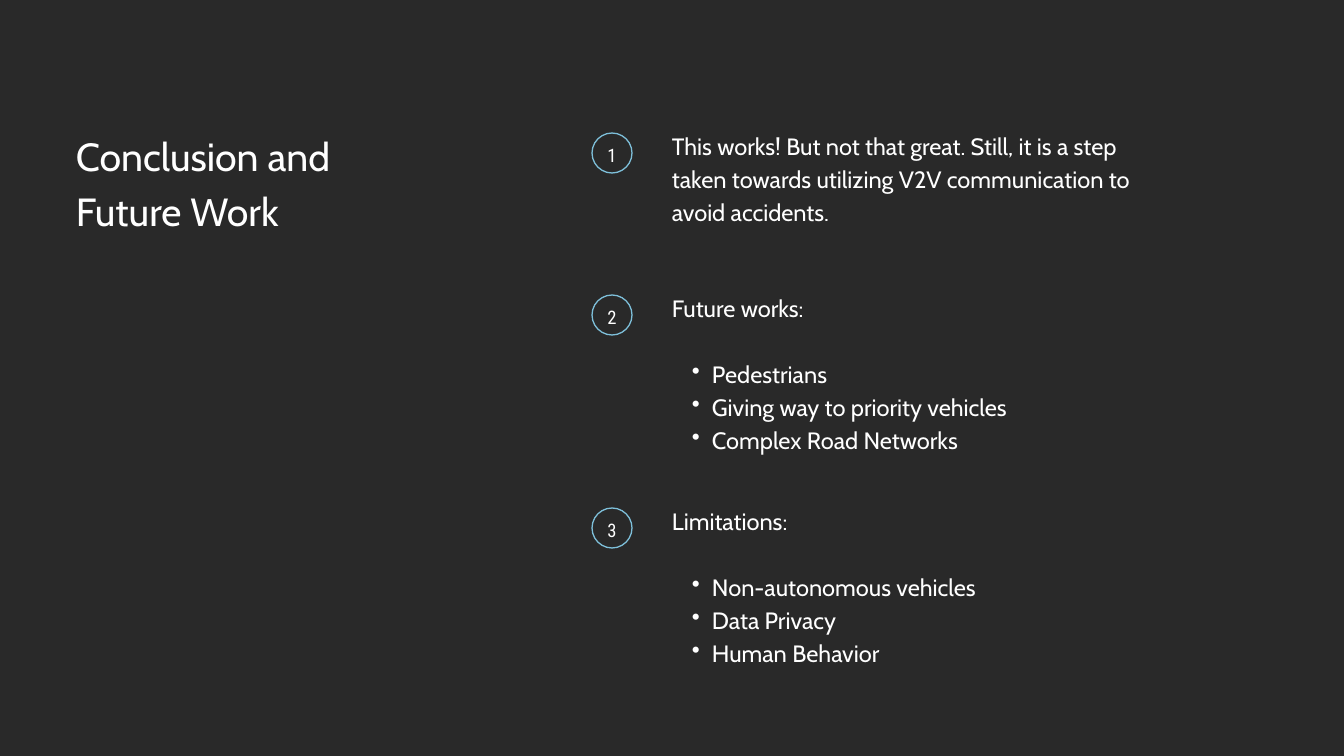
import dataclasses

import lxml.etree
import pptx
import pptx.dml.color
import pptx.enum.shapes
import pptx.enum.text
import pptx.oxml.ns
import pptx.util

EMU_PER_PX = 9676
BACKGROUND, WHITE, RING_BLUE = "292929", "FFFFFF", "7EC0DA"

# Layout of the numbered column, in px
RING_CENTER_X, RING_SIZE = 612, 40
RING_CENTER_DROP = 26  # from the top of an item to the ring's centre
NUMBER_WIDTH, NUMBER_HEIGHT = 30, 25
BODY_LEFT, BODY_WIDTH, BODY_LINE = 672, 472, 33
BULLET_INDENT, BULLET_HANG = 40, 20


@dataclasses.dataclass
class TextStyle:
    font: str
    size: float
    line_pt: float
    align: pptx.enum.text.PP_ALIGN = pptx.enum.text.PP_ALIGN.LEFT


@dataclasses.dataclass
class Item:
    top: int
    text: str
    lines: int
    bullets: tuple[str, ...] = ()


TITLE = TextStyle("Cabin", 29.9, 41.8)
BODY = TextStyle("Cabin", 18, 25.2)
NUMBER = TextStyle("Roboto Condensed", 14.2, 19.9, pptx.enum.text.PP_ALIGN.CENTER)

ITEMS = [
    Item(127, "This works! But not that great. Still, it is a step taken towards "
              "utilizing V2V communication to avoid accidents.", 3),
    Item(289, "Future works:", 5,
         ("Pedestrians", "Giving way to priority vehicles", "Complex Road Networks")),
    Item(502, "Limitations:", 5,
         ("Non-autonomous vehicles", "Data Privacy", "Human Behavior")),
]


def px(length: int) -> int:
    return pptx.util.Emu(length * EMU_PER_PX)


def color(value: str):
    return pptx.dml.color.RGBColor.from_string(value)


def add_bullet(para) -> None:
    properties = para._p.get_or_add_pPr()
    properties.set("marL", str(px(BULLET_INDENT)))
    properties.set("indent", str(-px(BULLET_HANG)))
    bullet = lxml.etree.SubElement(properties, pptx.oxml.ns.qn("a:buChar"))
    bullet.set("char", "•")


def format_para(para, style: TextStyle) -> None:
    para.alignment = style.align
    para.line_spacing = pptx.util.Pt(style.line_pt)
    font_format = {"name": style.font, "size": pptx.util.Pt(style.size)}
    for name, value in font_format.items():
        setattr(para.font, name, value)
    para.font.color.rgb = color(WHITE)


def add_text(page, left: int, top: int, width: int, height: int,
             lines: tuple[str, ...], style: TextStyle, bullets: tuple[str, ...] = ()) -> None:
    box = page.shapes.add_textbox(px(left), px(top), px(width), px(height))
    frame = box.text_frame
    frame_format = {"word_wrap": True, "margin_left": 0, "margin_right": 0,
                    "margin_top": 0, "margin_bottom": 0}
    for name, value in frame_format.items():
        setattr(frame, name, value)
    for index, line in enumerate(lines + bullets):
        para = frame.paragraphs[0] if index == 0 else frame.add_paragraph()
        para.add_run().text = line
        if index >= len(lines):
            para.level = 1
            add_bullet(para)
        format_para(para, style)
        # One line of air between the heading and its list
        if bullets and index == len(lines):
            para.space_before = pptx.util.Pt(style.line_pt)


def add_ring(page, center_y: int) -> None:
    ring = page.shapes.add_shape(
        pptx.enum.shapes.MSO_SHAPE.OVAL,
        px(RING_CENTER_X - RING_SIZE // 2), px(center_y - RING_SIZE // 2),
        px(RING_SIZE), px(RING_SIZE))
    ring.shadow.inherit = False
    ring.fill.background()
    ring.line.color.rgb = color(RING_BLUE)
    ring.line.width = pptx.util.Pt(1)


def add_item(page, number: int, item: Item) -> None:
    center_y = item.top + RING_CENTER_DROP
    add_ring(page, center_y)
    add_text(page, RING_CENTER_X - NUMBER_WIDTH // 2, center_y - NUMBER_HEIGHT // 2 - 1,
             NUMBER_WIDTH, NUMBER_HEIGHT, (str(number),), NUMBER)
    add_text(page, BODY_LEFT, item.top, BODY_WIDTH, item.lines * BODY_LINE,
             (item.text,), BODY, item.bullets)


def main() -> None:
    deck = pptx.Presentation()
    deck.slide_width, deck.slide_height = px(1344), px(756)
    page = deck.slides.add_slide(deck.slide_layouts[6])
    page.background.fill.solid()
    page.background.fill.fore_color.rgb = color(BACKGROUND)

    # Title
    add_text(page, 76, 125, 365, 109, ("Conclusion and", "Future Work"), TITLE)

    # Numbered points
    for number, item in enumerate(ITEMS, start=1):
        add_item(page, number, item)

    deck.save("out.pptx")


if __name__ == "__main__":
    main()
